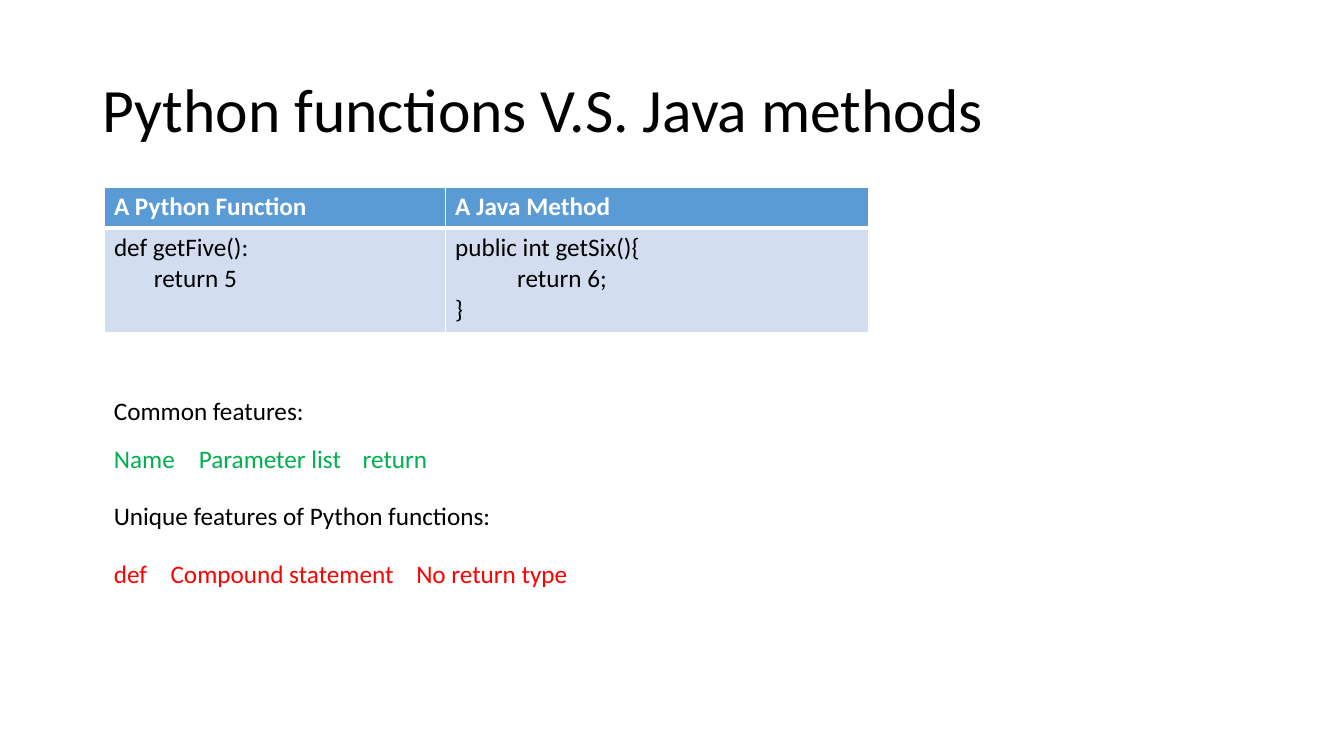
from lxml.etree import SubElement
from pptx import Presentation
from pptx.dml.color import RGBColor
from pptx.enum.text import MSO_ANCHOR as ANCHOR, MSO_AUTO_SIZE as AUTO, PP_ALIGN as ALIGN
from pptx.oxml.ns import qn
from pptx.util import Pt

PX = 9525
FONT = "Calibri"
BLACK = RGBColor(0x00, 0x00, 0x00)
WHITE = RGBColor(0xFF, 0xFF, 0xFF)
GREEN = RGBColor(0x00, 0xB0, 0x50)
RED = RGBColor(0xFF, 0x00, 0x00)
HEADER_BLUE = RGBColor(0x5B, 0x9B, 0xD5)
BODY_BLUE = RGBColor(0xD2, 0xDE, 0xEF)

LEFT = 99
LINE_HEIGHT = 38
COLUMN_WIDTHS = (325, 403)
ROW_HEIGHTS = (39, 100)
CODE_INDENTS = (38, 59)
CELLS = (
    (("A Python Function",), ("A Java Method",)),
    (("def getFive():", "return 5"), ("public int getSix(){", "return 6;", "}")),
)
FEATURE_LINES = (
    (372, BLACK, (("Common features:", 217),)),
    (417, GREEN, (("Name", 81), ("Parameter list", 156), ("return", 81))),
    (472, BLACK, (("Unique features of Python functions:", 385),)),
    (527, RED, (("def", 54), ("Compound statement", 234), ("No return type", 164))),
)


def px(*lengths):
    """Turn pixel lengths into EMU."""
    return [length * PX for length in lengths]


def set_all(target, values):
    """Set each attribute of target from a dict."""
    for name, value in values.items():
        setattr(target, name, value)


def add_run(p, text, color, size=18, bold=False):
    """Append one formatted run to a paragraph."""
    r = p.add_run()
    r.text = text
    set_all(r.font, {"name": FONT, "size": Pt(size), "bold": bold})
    r.font.color.rgb = color


def add_title(s, text):
    """Place and fill the title placeholder."""
    title = s.shapes.title
    set_all(title, dict(zip(("left", "top", "width", "height"), px(88, 38, 1104, 139))))
    tf = title.text_frame
    set_all(tf, {"vertical_anchor": ANCHOR.MIDDLE, "word_wrap": True, "auto_size": AUTO.NONE})
    p = tf.paragraphs[0]
    set_all(p, {"alignment": ALIGN.LEFT, "line_spacing": 0.9})
    add_run(p, text, BLACK, size=44)


def add_borders(cell, top, bottom):
    """Draw white borders of the given point widths around a cell."""
    tc_pr = cell._tc.get_or_add_tcPr()
    for side, width in (("L", 1), ("R", 1), ("T", top), ("B", bottom)):
        line = SubElement(tc_pr, qn(f"a:ln{side}"), w=str(Pt(width)))
        fill = SubElement(line, qn("a:solidFill"))
        SubElement(fill, qn("a:srgbClr"), val=str(WHITE))


def fill_cell(cell, lines, is_header, indent):
    """Write the lines of a cell and colour it."""
    add_borders(cell, 1 if is_header else 3, 3 if is_header else 1)
    cell.fill.solid()
    cell.fill.fore_color.rgb = HEADER_BLUE if is_header else BODY_BLUE
    tf = cell.text_frame
    for i, text in enumerate(lines):
        p = tf.add_paragraph() if i else tf.paragraphs[0]
        add_run(p, text, WHITE if is_header else BLACK, bold=is_header)
        if text.startswith("return"):
            p._p.get_or_add_pPr().set("marL", str(indent * PX))


def add_code_table(s):
    """Add the table that compares both languages."""
    frame = s.shapes.add_table(
        len(ROW_HEIGHTS), len(COLUMN_WIDTHS),
        *px(LEFT, 178, sum(COLUMN_WIDTHS), sum(ROW_HEIGHTS)))
    table = frame.table
    for column, width in zip(table.columns, px(*COLUMN_WIDTHS)):
        column.width = width
    for row, height in zip(table.rows, px(*ROW_HEIGHTS)):
        row.height = height
    for i, row in enumerate(CELLS):
        for j, lines in enumerate(row):
            fill_cell(table.cell(i, j), lines, i == 0, CODE_INDENTS[j])


def add_feature_line(s, top, color, items):
    """Add text boxes side by side on one line."""
    left = LEFT
    for text, width in items:
        tf = s.shapes.add_textbox(*px(left, top, width, LINE_HEIGHT)).text_frame
        set_all(tf, {"word_wrap": False, "auto_size": AUTO.SHAPE_TO_FIT_TEXT})
        add_run(tf.paragraphs[0], text, color)
        left += width


def main():
    """Build and save the slide."""
    prs = Presentation()
    prs.slide_width, prs.slide_height = px(1280, 720)
    s = prs.slides.add_slide(prs.slide_layouts[5])
    add_title(s, "Python functions V.S. Java methods")
    add_code_table(s)
    for top, color, items in FEATURE_LINES:
        add_feature_line(s, top, color, items)
    prs.save("out.pptx")


if __name__ == "__main__":
    main()
